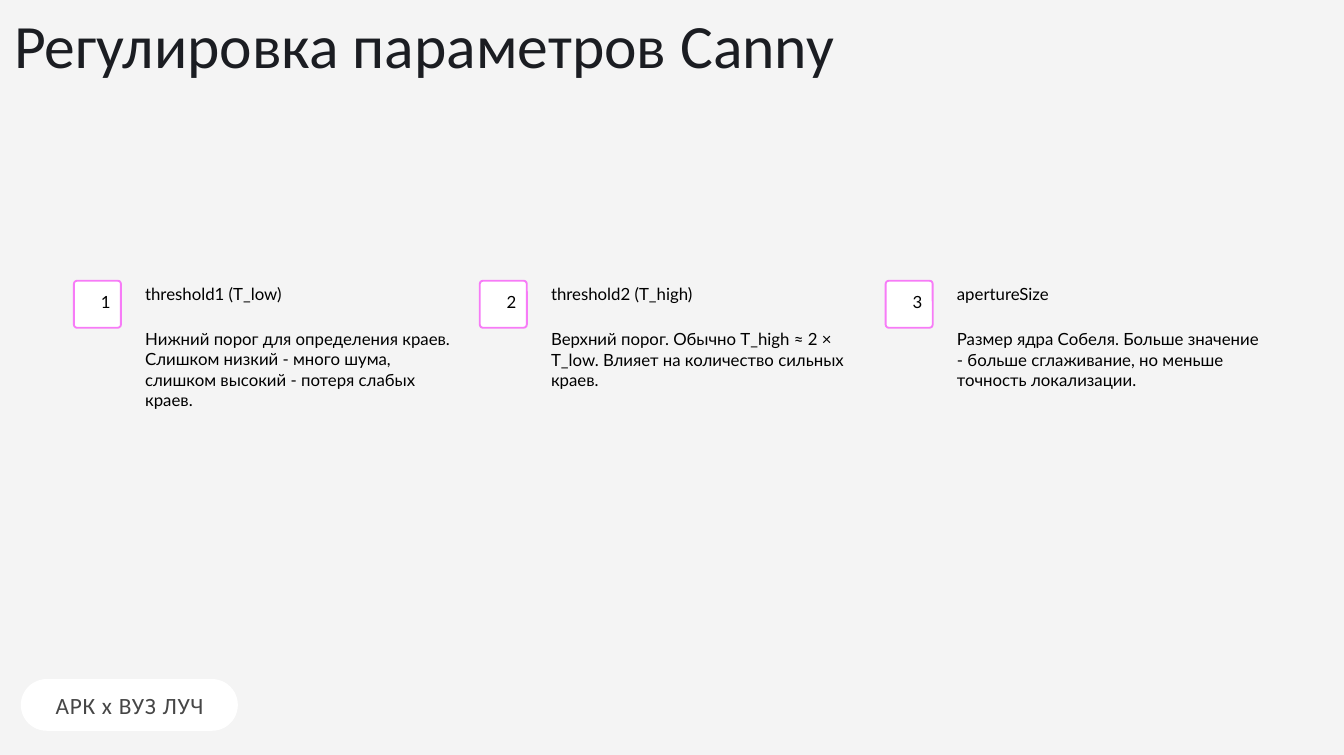
"""Build the slide on tuning the Canny parameters."""
import pptx
import pptx.dml.color
import pptx.enum.shapes
import pptx.enum.text
import pptx.util

WIDTH, HEIGHT = 20, 11.24
COLUMN_LEFT, COLUMN_STEP, ROW_TOP = 1.1, 6.04, 4.18
COLORS = {
    "background": "F4F4F4",
    "white": "FFFFFF",
    "pink": "F77BF7",
    "title": "1B1D22",
    "label": "464646",
    "body": "000000",
}
PARAMETERS = [
    ("threshold1 (T_low)", 2.2, 1.43,
     "Нижний порог для определения краев. Слишком низкий - много шума, "
     "слишком высокий - потеря слабых краев."),
    ("threshold2 (T_high)", 2.37, 1.08,
     "Верхний порог. Обычно T_high ≈ 2 × T_low. "
     "Влияет на количество сильных краев."),
    ("apertureSize", 1.56, 1.08,
     "Размер ядра Собеля. Больше значение - больше сглаживание, "
     "но меньше точность локализации."),
]


def color(name):
    """Return the named colour."""
    return pptx.dml.color.RGBColor.from_string(COLORS[name])


def inches(*lengths):
    """Convert lengths in inches to slide units."""
    return [pptx.util.Inches(length) for length in lengths]


def add_panel(slide, box, corner, outline=None):
    """Add a white rounded rectangle with an optional outline."""
    shape = slide.shapes.add_shape(
        pptx.enum.shapes.MSO_SHAPE.ROUNDED_RECTANGLE, *inches(*box))
    shape.adjustments[0] = corner
    shape.shadow.inherit = False
    shape.fill.solid()
    shape.fill.fore_color.rgb = color("white")
    if outline:
        shape.line.color.rgb = color(outline)
        shape.line.width = pptx.util.Pt(2)
    else:
        shape.line.fill.background()


def add_text(slide, box, text, size=18, font="Lato", tone="body", wrap=True):
    """Add a one-paragraph text box and return its shape."""
    shape = slide.shapes.add_textbox(*inches(*box))
    frame = shape.text_frame
    frame.text = text
    frame.word_wrap = wrap
    frame.auto_size = pptx.enum.text.MSO_AUTO_SIZE.SHAPE_TO_FIT_TEXT
    frame.margin_left, frame.margin_top, frame.margin_right, frame.margin_bottom = (
        inches(0.05, 0.05, 0.05, 0.05))
    run = frame.paragraphs[0].runs[0]
    run.font.size = pptx.util.Pt(size)
    run.font.name = font
    run.font.color.rgb = color(tone)
    return shape


def add_title(slide, text):
    """Add the slide title with tight line spacing."""
    frame = add_text(slide, (0.16, 0.35, 17.84, 1.42), text,
                     66, "Calibri", "title").text_frame
    frame.auto_size = pptx.enum.text.MSO_AUTO_SIZE.NONE
    frame.paragraphs[0].line_spacing = 0.7


def add_footer(slide, text):
    """Add the pill-shaped footer label."""
    add_panel(slide, (0.31, 10.11, 3.23, 0.77), 0.5)
    frame = add_text(slide, (0.48, 10.03, 2.9, 0.93), text,
                     25, "Calibri", "label").text_frame
    frame.auto_size = pptx.enum.text.MSO_AUTO_SIZE.NONE
    frame.vertical_anchor = pptx.enum.text.MSO_ANCHOR.MIDDLE
    paragraph = frame.paragraphs[0]
    paragraph.alignment = pptx.enum.text.PP_ALIGN.CENTER
    paragraph.runs[0].font._element.set("spc", "80")


def add_parameter(slide, column, name, name_width, body_height, body):
    """Add a numbered badge, a parameter name and its description."""
    left = COLUMN_LEFT + column * COLUMN_STEP
    text_left = left + 1.01
    add_panel(slide, (left, ROW_TOP, 0.7, 0.7), 0.067, "pink")
    add_text(slide, (left + 0.35, ROW_TOP + 0.12, 0.25, 0.39),
             str(column + 1), wrap=False)
    add_text(slide, (text_left, ROW_TOP, name_width, 0.39), name, wrap=False)
    add_text(slide, (text_left, ROW_TOP + 0.67, 4.72, body_height), body)


def main():
    """Build and save the presentation."""
    presentation = pptx.Presentation()
    presentation.slide_width, presentation.slide_height = inches(WIDTH, HEIGHT)
    slide = presentation.slides.add_slide(presentation.slide_layouts[6])
    slide.background.fill.solid()
    slide.background.fill.fore_color.rgb = color("background")
    add_footer(slide, "АРК х ВУЗ ЛУЧ")
    add_title(slide, "Регулировка параметров Canny")
    for column, parameter in enumerate(PARAMETERS):
        add_parameter(slide, column, *parameter)
    presentation.save("out.pptx")


if __name__ == "__main__":
    main()
